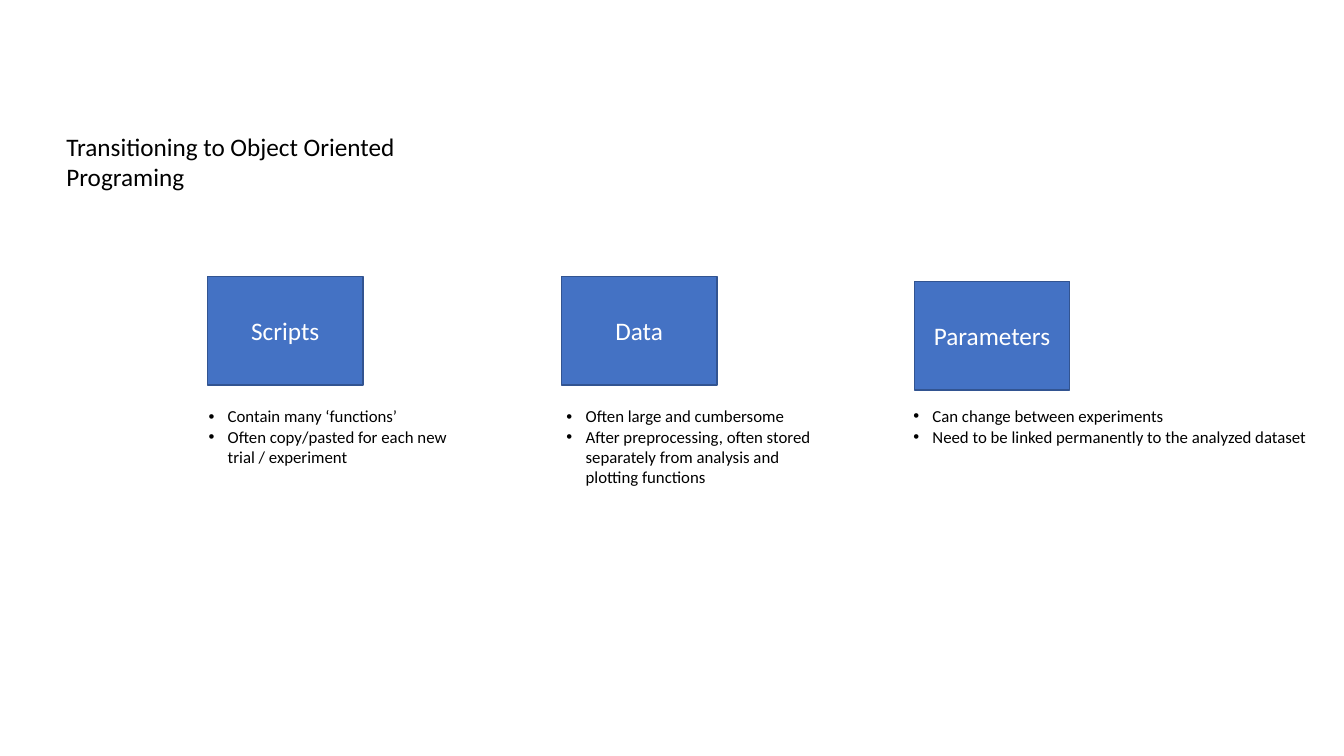
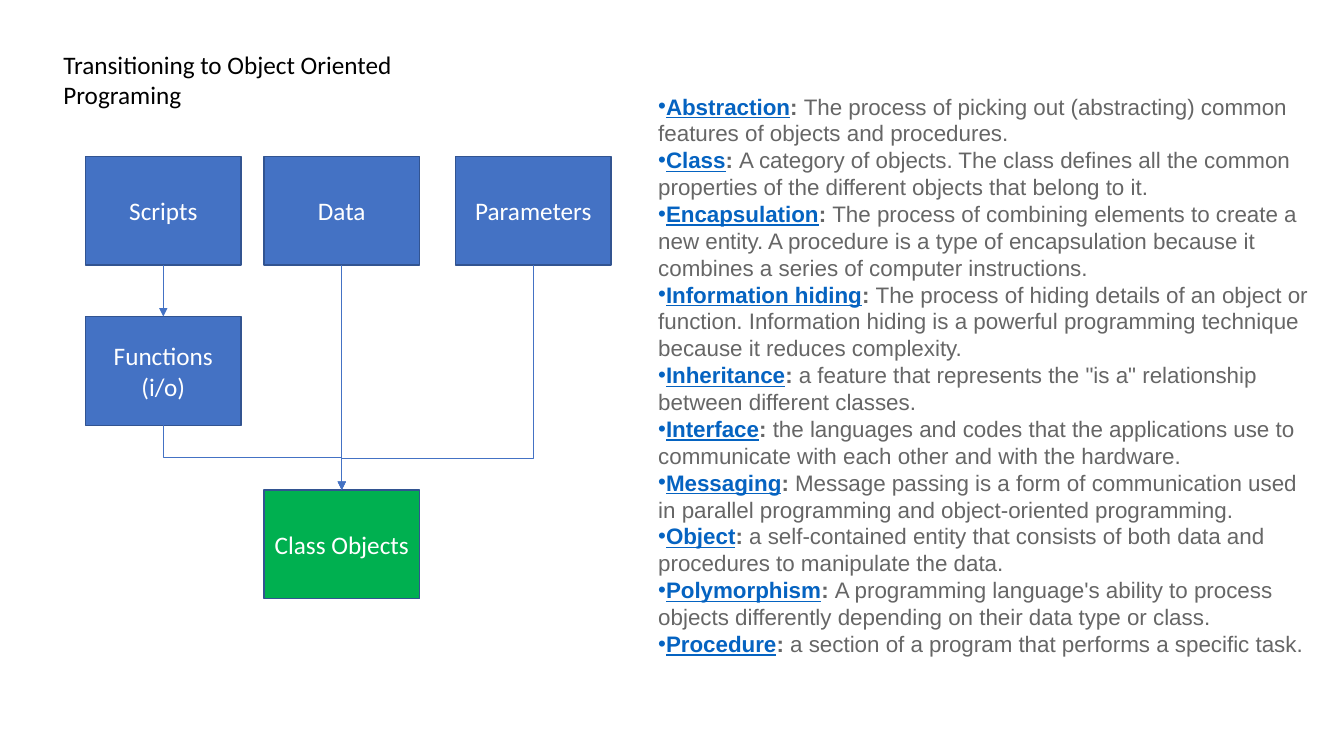
from dataclasses import dataclass

from lxml.etree import SubElement
from pptx import Presentation
from pptx.dml.color import RGBColor
from pptx.enum.shapes import MSO_CONNECTOR as Link, MSO_SHAPE as Preset
from pptx.enum.text import MSO_ANCHOR as Anchor, PP_ALIGN as Align
from pptx.oxml.ns import qn
from pptx.shapes.autoshape import Shape
from pptx.shapes.connector import Connector
from pptx.slide import Slide
from pptx.util import Inches, Pt

# Shared style
BLACK = RGBColor(0x00, 0x00, 0x00)
WHITE = RGBColor(0xFF, 0xFF, 0xFF)
BLUE = RGBColor(0x44, 0x72, 0xC4)
DARK_BLUE = RGBColor(0x32, 0x54, 0x91)
GREEN = RGBColor(0x00, 0xB0, 0x50)
TERM_BLUE = RGBColor(0x05, 0x63, 0xC1)
GREY = RGBColor(0x66, 0x66, 0x66)
BODY_FONT, TERM_FONT = "Calibri", "Arial"
TITLE = "Transitioning to Object Oriented Programing"
BOX_WIDTH, BOX_HEIGHT = 1.54, 1.08
BULLET_INDENT = 0.19
BOTTOM, TOP = 2, 0  # connection sites of a rectangle


@dataclass(frozen=True)
class Block:
    label: str
    left: float
    top: float
    fill: RGBColor = BLUE


@dataclass(frozen=True)
class Notes:
    points: tuple[str, ...]
    left: float
    width: float
    height: float
    wrap: bool = True


@dataclass(frozen=True)
class Definition:
    term: str
    meaning: str


# Content
COLUMNS = (
    (Block("Scripts", 2.06, 2.74),
     Notes(("Contain many ‘functions’",
            "Often copy/pasted for each new trial / experiment"), 1.97, 2.91, 0.71)),
    (Block("Data", 5.57, 2.74),
     Notes(("Often large and cumbersome",
            "After preprocessing, often stored separately from analysis and "
            "plotting functions"), 5.52, 2.81, 1.11)),
    (Block("Parameters", 9.07, 2.79),
     Notes(("Can change between experiments",
            "Need to be linked permanently to the analyzed dataset"),
           8.96, 4.13, 0.5, wrap=False)),
)

DEFINITIONS = (
    Definition("Abstraction", "The process of picking out (abstracting) common features of "
               "objects and procedures."),
    Definition("Class", "A category of objects. The class defines all the common properties "
               "of the different objects that belong to it."),
    Definition("Encapsulation", "The process of combining elements to create a new entity. "
               "A procedure is a type of encapsulation because it combines a series of "
               "computer instructions."),
    Definition("Information hiding", "The process of hiding details of an object or function. "
               "Information hiding is a powerful programming technique because it reduces "
               "complexity."),
    Definition("Inheritance", "a feature that represents the \"is a\" relationship between "
               "different classes."),
    Definition("Interface", "the languages and codes that the applications use to communicate "
               "with each other and with the hardware."),
    Definition("Messaging", "Message passing is a form of communication used in parallel "
               "programming and object-oriented programming."),
    Definition("Object", "a self-contained entity that consists of both data and procedures "
               "to manipulate the data."),
    Definition("Polymorphism", "A programming language's ability to process objects "
               "differently depending on their data type or class."),
    Definition("Procedure", "a section of a program that performs a specific task."),
)


# Text
def style(target, size: float, color: RGBColor, name: str = BODY_FONT) -> None:
    target.font.size = Pt(size)
    target.font.name = name
    target.font.color.rgb = color


def add_bullet(para, indent: float = 0) -> None:
    properties = para._p.get_or_add_pPr()
    properties.set("marL", str(Inches(indent)))
    properties.set("indent", str(-Inches(indent)))
    SubElement(properties, qn("a:buFont"), typeface="Arial")
    SubElement(properties, qn("a:buChar"), char="•")


def add_paragraphs(frame, count: int) -> list:
    return [frame.paragraphs[0]] + [frame.add_paragraph() for _ in range(count - 1)]


def add_text_box(page: Slide, left: float, top: float, width: float, height: float,
                 wrap: bool = True):
    box = page.shapes.add_textbox(Inches(left), Inches(top), Inches(width), Inches(height))
    box.text_frame.word_wrap = wrap
    return box.text_frame


def add_title(page: Slide, left: float, top: float) -> None:
    para = add_text_box(page, left, top, 3.82, 0.71).paragraphs[0]
    para.text = TITLE
    style(para, 18, BLACK)


def add_notes(page: Slide, notes: Notes) -> None:
    frame = add_text_box(page, notes.left, 3.98, notes.width, notes.height, notes.wrap)
    for para, point in zip(add_paragraphs(frame, len(notes.points)), notes.points):
        para.text = point
        style(para, 12, BLACK)
        add_bullet(para, BULLET_INDENT)


def add_definitions(page: Slide) -> None:
    frame = add_text_box(page, 6.43, 0.87, 6.72, 5.76)
    for para, entry in zip(add_paragraphs(frame, len(DEFINITIONS)), DEFINITIONS):
        style(para, 16, GREY, TERM_FONT)
        add_bullet(para)
        term, colon, meaning = (para.add_run() for _ in range(3))
        term.text, colon.text, meaning.text = entry.term, ":", "\u00a0" + entry.meaning
        for span, color in ((term, TERM_BLUE), (colon, GREY), (meaning, GREY)):
            style(span, 16, color, TERM_FONT)
        term.font.bold = colon.font.bold = True
        term.font.underline = True


# Blocks and connectors
def add_block(page: Slide, block: Block) -> Shape:
    box = page.shapes.add_shape(Preset.RECTANGLE, Inches(block.left), Inches(block.top),
                                Inches(BOX_WIDTH), Inches(BOX_HEIGHT))
    box.shadow.inherit = False
    box.fill.solid()
    box.fill.fore_color.rgb = block.fill
    box.line.color.rgb = DARK_BLUE
    box.line.width = Pt(1)
    frame = box.text_frame
    frame.word_wrap = True
    frame.vertical_anchor = Anchor.MIDDLE
    frame.text = block.label
    for para in frame.paragraphs:
        para.alignment = Align.CENTER
        style(para, 18, WHITE)
    return box


def add_arrow(page: Slide, source: Shape, target: Shape, kind=Link.STRAIGHT) -> Connector:
    arrow = page.shapes.add_connector(kind, 0, 0, 0, 0)
    arrow.begin_connect(source, BOTTOM)
    arrow.end_connect(target, TOP)
    arrow.line.color.rgb = BLUE
    arrow.line.width = Pt(0.5)
    SubElement(arrow.line._get_or_add_ln(), qn("a:tailEnd"), type="triangle")
    SubElement(arrow._element.spPr, qn("a:effectLst"))
    return arrow


def add_elbow(page: Slide, source: Shape, target: Shape, bend: float) -> None:
    """Leave the source downwards and turn at the given share of the height."""
    arrow = add_arrow(page, source, target, Link.ELBOW)
    across, down = arrow.end_x - arrow.begin_x, arrow.end_y - arrow.begin_y
    center_x, center_y = arrow.begin_x + across // 2, arrow.begin_y + down // 2
    arrow.width, arrow.height = down, abs(across)
    arrow.left, arrow.top = center_x - down // 2, center_y - abs(across) // 2
    frame = arrow._element.spPr.find(qn("a:xfrm"))
    rightward = across > 0
    frame.set("rot", str((270 if rightward else 90) * 60000))
    frame.set("flipH", "1" if rightward else "0")
    guides = arrow._element.spPr.find(qn("a:prstGeom")).find(qn("a:avLst"))
    SubElement(guides, qn("a:gd"), name="adj1", fmla=f"val {round(bend * 100000)}")


deck = Presentation()
deck.slide_width, deck.slide_height = Inches(13.33), Inches(7.5)
blank = deck.slide_layouts[6]

# Slide 1: the three parts
page = deck.slides.add_slide(blank)
add_title(page, 0.56, 1.25)
for block, notes in COLUMNS:
    add_block(page, block)
    add_notes(page, notes)

# Slide 2: the parts become class objects
page = deck.slides.add_slide(blank)
add_title(page, 0.53, 0.44)
add_definitions(page)
scripts, data, parameters, functions, class_objects = (
    add_block(page, block) for block in (
        Block("Scripts", 0.85, 1.55),
        Block("Data", 2.62, 1.55),
        Block("Parameters", 4.52, 1.55),
        Block("Functions\n(i/o)", 0.85, 3.14),
        Block("Class Objects", 2.62, 4.86, GREEN),
    ))
add_arrow(page, scripts, functions)
add_arrow(page, data, class_objects)
add_elbow(page, functions, class_objects, bend=0.5)
add_elbow(page, parameters, class_objects, bend=0.86)

deck.save("out.pptx")
